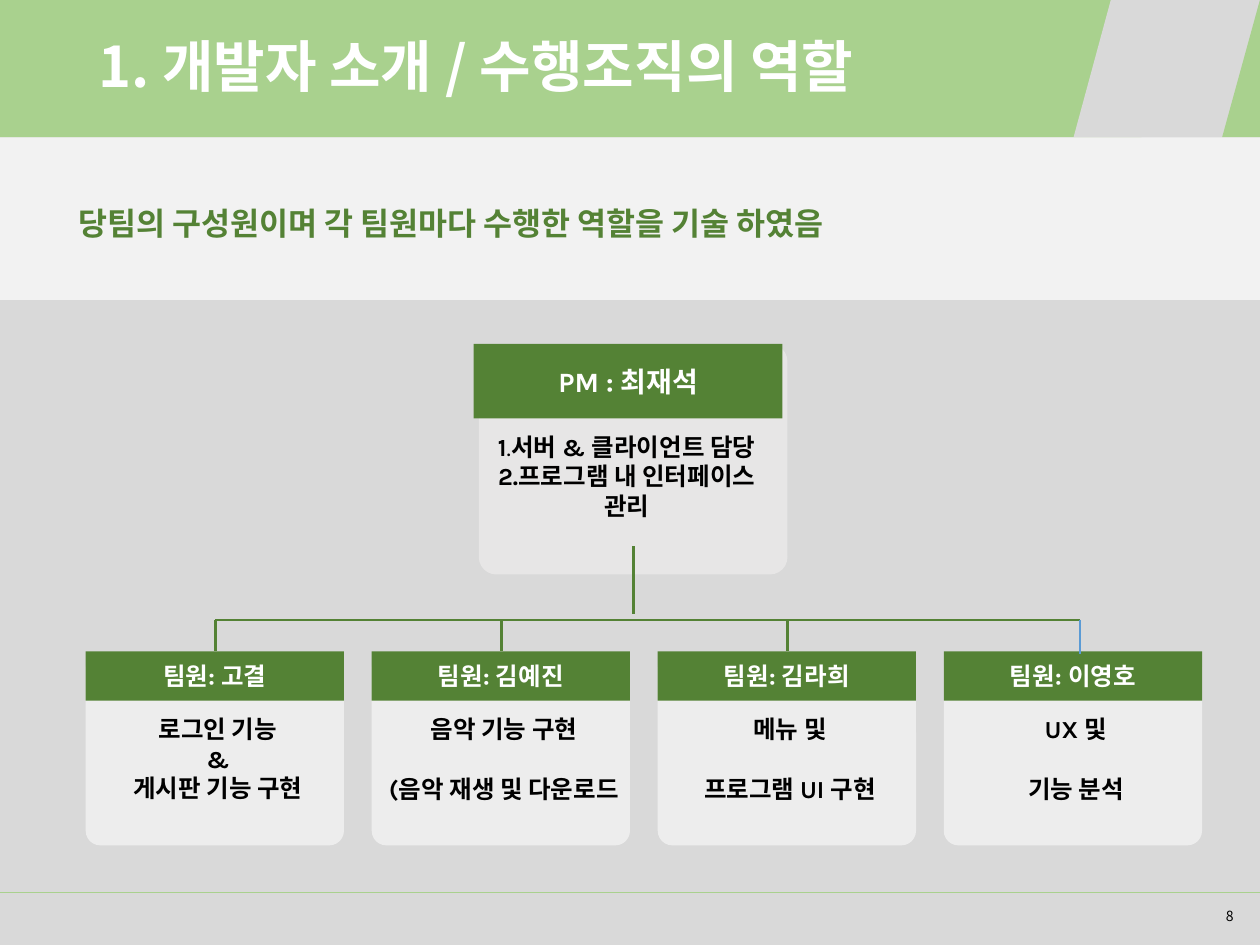
from dataclasses import dataclass
from lxml.etree import SubElement
from pptx import Presentation
from pptx.dml.color import RGBColor
from pptx.enum.shapes import MSO_CONNECTOR as Connector, MSO_SHAPE as Shape
from pptx.enum.text import MSO_ANCHOR as Anchor, PP_ALIGN as Align
from pptx.oxml.ns import qn
from pptx.util import Inches, Pt

TITLE = "1. 개발자 소개 / 수행조직의 역할"
SUMMARY = "당팀의 구성원이며 각 팀원마다 수행한 역할을 기술 하였음"
PAGE_NUMBER = "8"
MANAGER = {
    "name": "PM : 최재석",
    "duties": [[("1", True), (".", False), ("서버 & 클라이언트 담당", True)],
               "2.프로그램 내 인터페이스 관리"],
}
MEMBERS = [
    {"name": "팀원: 고결", "duties": ["로그인 기능", "&", "게시판 기능 구현"], "gap": 0},
    {"name": "팀원: 김예진", "duties": ["음악 기능 구현", "(음악 재생 및 다운로드"], "gap": 17},
    {"name": "팀원: 김라희", "duties": ["메뉴 및", "프로그램 UI 구현"], "gap": 17},
    {"name": "팀원: 이영호", "duties": ["UX 및", "기능 분석"], "gap": 17},
]


@dataclass(frozen=True)
class Theme:
    back: str = "D9D9D9"
    band: str = "F2F2F2"
    light_green: str = "A9D18E"
    green: str = "548235"
    blue: str = "5B9BD5"
    manager_card: str = "E7E6E6"
    member_card: str = "EDEDED"
    white: str = "FFFFFF"
    black: str = "000000"
    heading_font: str = "Noto Sans CJK KR"
    card_font: str = "Karla"
    title: int = 32
    summary: int = 18
    manager: int = 16
    body: int = 14
    number: int = 8


THEME = Theme()
CARD_LEFT, CARD_TOP, CARD_WIDTH, CARD_STEP = 0.68, 5.17, 2.05, 2.27
BUS_TOP = 4.92
STEM_CENTERS = [1.71, 3.98, 6.25, 8.57]


def color(code):
    return RGBColor.from_string(code)


def add_box(shapes, kind, area, fill):
    box = shapes.add_shape(kind, *map(Inches, area))
    box.shadow.inherit = False
    box.fill.solid()
    box.fill.fore_color.rgb = color(fill)
    box.line.fill.background()
    return box


def write(box, lines, size, ink, font=THEME.card_font, bold=True,
          align=Align.CENTER, anchor=Anchor.MIDDLE, spacing=None, gap=0):
    frame = box.text_frame
    frame.word_wrap = True
    frame.vertical_anchor = anchor
    for index, line in enumerate(lines):
        para = frame.add_paragraph() if index else frame.paragraphs[0]
        para.alignment = align
        para.line_spacing = spacing
        para.space_before = Pt(gap if index else 0)
        para.font.name = font
        para.font.size = Pt(size)
        para.font.bold = bold
        para.font.color.rgb = color(ink)
        if isinstance(line, str):
            para.add_run().text = line
            continue
        for text, strong in line:
            span = para.add_run()
            span.text = text
            span.font.bold = strong


def add_text(shapes, area, lines, size, ink, **style):
    box = shapes.add_textbox(*map(Inches, area))
    write(box, lines, size, ink, **style)
    return box


def add_line(page, start, end, ink, width):
    line = page.shapes.add_connector(Connector.STRAIGHT, *map(Inches, start + end))
    line.line.color.rgb = color(ink)
    line.line.width = Pt(width)
    SubElement(line._element.spPr, qn("a:effectLst"))


def add_text_shadow(box):
    for para in box.text_frame.paragraphs:
        for span in para.runs:
            effects = SubElement(span._r.get_or_add_rPr(), qn("a:effectLst"))
            shadow = SubElement(effects, qn("a:outerShdw"), blurRad="38100",
                                dist="38100", dir="2700000", algn="tl")
            ink = SubElement(shadow, qn("a:srgbClr"), val=THEME.black)
            SubElement(ink, qn("a:alpha"), val="43000")


def add_card(page, person, panel, header, duties, fill, size):
    group = page.shapes.add_group_shape().shapes
    card = add_box(group, Shape.ROUNDED_RECTANGLE, panel, fill)
    card.adjustments[0] = 0.076
    write(add_box(group, Shape.RECTANGLE, header, THEME.green),
          [person["name"]], size, THEME.white)
    add_text(group, duties, person["duties"], THEME.body, THEME.black,
             anchor=Anchor.TOP, gap=person.get("gap", 0))


def add_header(page):
    add_box(page.shapes, Shape.RECTANGLE, (0, 0, 9.06, 1.09), THEME.light_green)
    add_box(page.shapes, Shape.FLOWCHART_DATA, (8.52, 0, 1.48, 1.09), THEME.back)
    corner = add_box(page.shapes, Shape.RIGHT_TRIANGLE, (9.7, 0, 0.3, 1.09), THEME.light_green)
    corner._element.spPr.xfrm.set("flipH", "1")
    title = add_text(page.shapes, (0.68, 0.35, 8.38, 0.4), [TITLE], THEME.title, THEME.white,
                     font=THEME.heading_font, align=Align.LEFT, spacing=0.9)
    add_text_shadow(title)
    band = add_box(page.shapes, Shape.RECTANGLE, (0, 1.09, 10, 1.29), THEME.band)
    band.text_frame.margin_left = Inches(0.62)
    write(band, [SUMMARY], THEME.summary, THEME.green, font=THEME.heading_font,
          align=Align.LEFT, spacing=1.25)


def add_footer(page):
    add_line(page, (0, 7.08), (10, 7.08), THEME.light_green, 0.5)
    add_text(page.shapes, (9.39, 7.15, 0.5, 0.24), [PAGE_NUMBER], THEME.number, THEME.black,
             font=THEME.heading_font, bold=False, align=Align.RIGHT, anchor=Anchor.TOP)


def add_organization(page):
    add_card(page, MANAGER, (3.8, 2.73, 2.45, 1.83), (3.76, 2.73, 2.45, 0.59),
             (3.76, 3.38, 2.43, 1.01), THEME.manager_card, THEME.manager)
    for index, member in enumerate(MEMBERS):
        left = CARD_LEFT + index * CARD_STEP
        add_card(page, member, (left, CARD_TOP + 0.01, CARD_WIDTH, 1.53),
                 (left, CARD_TOP, CARD_WIDTH, 0.39),
                 (left, CARD_TOP + 0.45, CARD_WIDTH + 0.05, 1.01),
                 THEME.member_card, THEME.body)
    add_line(page, (5.03, 4.87), (5.03, 4.33), THEME.green, 1.5)
    add_line(page, (STEM_CENTERS[-1], BUS_TOP), (STEM_CENTERS[0], BUS_TOP), THEME.green, 1.5)
    for center in STEM_CENTERS[:-1]:
        add_line(page, (center, BUS_TOP), (center, CARD_TOP), THEME.green, 1.5)
    add_line(page, (STEM_CENTERS[-1], BUS_TOP), (STEM_CENTERS[-1], CARD_TOP + 0.02), THEME.blue, 1)


def main():
    deck = Presentation()
    deck.slide_width, deck.slide_height = Inches(10), Inches(7.5)
    page = deck.slides.add_slide(deck.slide_layouts[6])
    page.background.fill.solid()
    page.background.fill.fore_color.rgb = color(THEME.back)
    add_footer(page)
    add_header(page)
    add_organization(page)
    deck.save("out.pptx")


if __name__ == "__main__":
    main()
